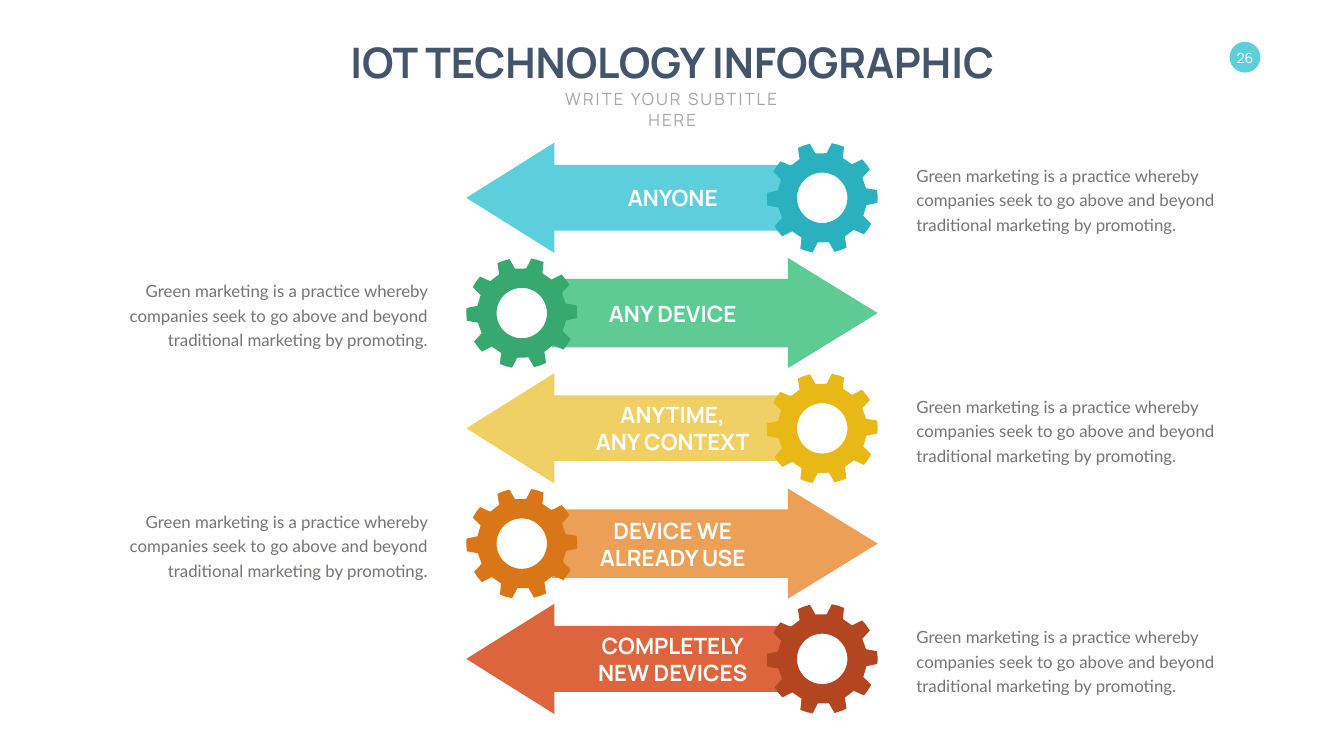
from math import cos, radians, sin

from pptx import Presentation
from pptx.dml.color import RGBColor
from pptx.enum.shapes import MSO_SHAPE
from pptx.enum.text import MSO_ANCHOR, MSO_AUTO_SIZE, PP_ALIGN
from pptx.util import Inches, Pt

LEFT_ARROW, RIGHT_ARROW = MSO_SHAPE.LEFT_ARROW, MSO_SHAPE.RIGHT_ARROW
OVAL = MSO_SHAPE.OVAL
TOP, MIDDLE = MSO_ANCHOR.TOP, MSO_ANCHOR.MIDDLE
GROW = MSO_AUTO_SIZE.SHAPE_TO_FIT_TEXT
LEFT, CENTER, RIGHT = PP_ALIGN.LEFT, PP_ALIGN.CENTER, PP_ALIGN.RIGHT

WHITE = RGBColor(0xFF, 0xFF, 0xFF)
NAVY = RGBColor(0x44, 0x54, 0x69)
SILVER = RGBColor(0xA6, 0xA6, 0xA6)
GRAY = RGBColor(0x73, 0x75, 0x72)
AQUA, TEAL = RGBColor(0x5D, 0xCE, 0xDB), RGBColor(0x2B, 0xB0, 0xBF)
MINT, GREEN = RGBColor(0x5E, 0xCB, 0x95), RGBColor(0x36, 0xA8, 0x70)
SAND, GOLD = RGBColor(0xF0, 0xD0, 0x65), RGBColor(0xE8, 0xB8, 0x17)
PEACH, ORANGE = RGBColor(0xEC, 0x9F, 0x56), RGBColor(0xD9, 0x76, 0x18)
CORAL, RUST = RGBColor(0xDC, 0x65, 0x3D), RGBColor(0xB3, 0x45, 0x20)

TITLE = {"name": "Manrope", "size": Pt(60), "bold": True}
SUB = {"name": "Manrope", "size": Pt(24)}
LABEL = {"name": "Manrope", "size": Pt(32), "bold": True}
PAGE = {"name": "Manrope", "size": Pt(20)}
BODY = {"name": "Lato", "size": Pt(24)}
LINES = {"line_spacing": Pt(35), "space_before": Pt(4.8)}
INSETS = ("margin_left", "margin_top", "margin_right", "margin_bottom")

COPY = ("Green marketing is a practice whereby companies seek to go above "
        "and beyond traditional marketing by promoting.")
ROWS = [
    (["ANYONE"], AQUA, TEAL),
    (["ANY DEVICE"], MINT, GREEN),
    (["ANYTIME,", "ANY CONTEXT"], SAND, GOLD),
    (["DEVICE WE", "ALREADY USE"], PEACH, ORANGE),
    (["COMPLETELY", "NEW DEVICES"], CORAL, RUST),
]
START, STEP = 2.83, 2.287
TALL = 2.19
TEETH, TURN = 10, 36
TOOTH = [(10, 1.1), (16.6, 1.1), (23.2, 1.1), (27.4, 0.89), (41.7, 0.89)]
HOLE = 0.5


def set_all(target, values):
    for name, value in values.items():
        setattr(target, name, value)


def paint(shape, color):
    shape.shadow.inherit = False
    shape.fill.solid()
    shape.fill.fore_color.rgb = color
    shape.line.fill.background()


def add_text(slide, box, lines, font, color, align=CENTER, anchor=MIDDLE,
             wrap=False, para=None, inset=None, track=None):
    frame = slide.shapes.add_textbox(*map(Inches, box)).text_frame
    set_all(frame, {"word_wrap": wrap, "auto_size": GROW,
                    "vertical_anchor": anchor})
    if inset is not None:
        set_all(frame, dict.fromkeys(INSETS, inset))
    for i, line in enumerate(lines):
        part = frame.add_paragraph() if i else frame.paragraphs[0]
        set_all(part, {"alignment": align, **(para or {})})
        run = part.add_run()
        run.text = line
        set_all(run.font, font)
        run.font.color.rgb = color
        if track:
            run.font._element.set("spc", str(track))


def add_preset(slide, kind, box, color, adjust=()):
    shape = slide.shapes.add_shape(kind, *map(Inches, box))
    for i, value in enumerate(adjust):
        shape.adjustments[i] = value
    paint(shape, color)


def add_gear(slide, x, y, color):
    def point(angle, radius):
        turn = radians(angle)
        return Inches(x + radius * sin(turn)), Inches(y - radius * cos(turn))

    rim = [point(angle + TURN * i, radius)
           for i in range(TEETH) for angle, radius in TOOTH]
    hole = [point(-angle, HOLE) for angle in range(0, 360, 6)]
    build = slide.shapes.build_freeform(*rim[0], scale=1.0)
    build.add_line_segments(rim[1:], close=True)
    build.move_to(*hole[0])
    build.add_line_segments(hole[1:], close=True)
    paint(build.convert_to_shape(), color)


def add_row(slide, top, right, lines, light, dark):
    mid = top + TALL / 2
    if right:
        kind, x, adjust = RIGHT_ARROW, 10.95, (0.62, 0.813)
        hub, side, align = 10.35, 2.19, RIGHT
    else:
        kind, x, adjust = LEFT_ARROW, 9.25, (0.596, 0.798)
        hub, side, align = 16.31, 18.08, LEFT
    add_preset(slide, kind, (x, top, 6.46, TALL), light, adjust)
    add_gear(slide, hub, mid, dark)
    high = 0.1 + 0.54 * len(lines)
    add_text(slide, (11.65, mid - high / 2, 3.39, high), lines, LABEL, WHITE)
    add_text(slide, (side, top + 0.34, 6.39, 1.52), [COPY], BODY, GRAY,
             align=align, wrap=True, para=LINES)


def main():
    deck = Presentation()
    deck.slide_width, deck.slide_height = Inches(26.66), Inches(15)
    slide = deck.slides.add_slide(deck.slide_layouts[6])
    add_preset(slide, OVAL, (24.39, 0.83, 0.61, 0.61), AQUA)
    add_text(slide, (24.49, 0.97, 0.41, 0.34), ["26"], PAGE, WHITE, inset=0)
    add_text(slide, (6.54, 0.67, 13.59, 1.11), ["IOT TECHNOLOGY INFOGRAPHIC"],
             TITLE, NAVY, anchor=TOP)
    add_text(slide, (10.62, 1.72, 5.43, 0.5), ["WRITE YOUR SUBTITLE HERE"],
             SUB, SILVER, anchor=TOP, track=300)
    for i, row in enumerate(ROWS):
        add_row(slide, START + STEP * i, i % 2 == 1, *row)
    deck.save("out.pptx")


if __name__ == "__main__":
    main()
